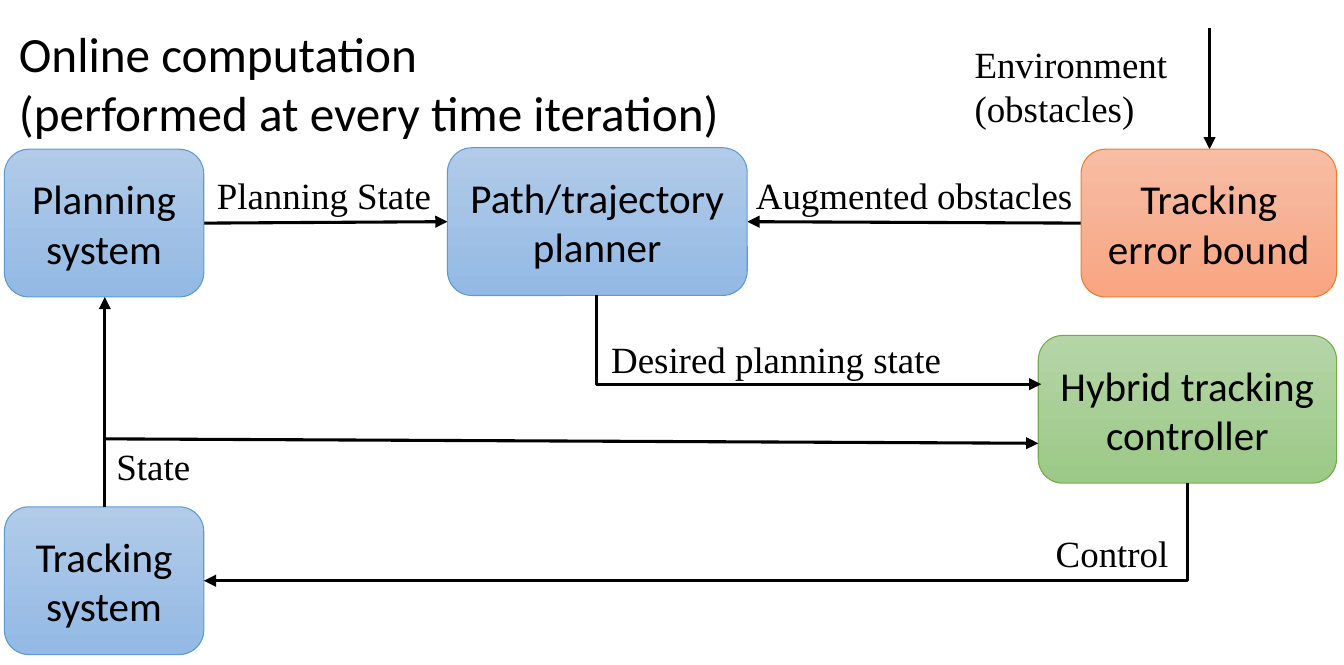
from lxml.etree import SubElement
from pptx import Presentation
from pptx.dml.color import RGBColor
from pptx.enum.shapes import MSO_CONNECTOR, MSO_SHAPE
from pptx.enum.text import MSO_ANCHOR, PP_ALIGN
from pptx.oxml.ns import qn
from pptx.util import Inches, Pt

# Gradient top, gradient bottom, outline
BLUE = ("B1CBE9", "93B9E4", "5B9BD5")
GREEN = ("B5D5A7", "9CC987", "70AD47")
ORANGE = ("F7BDA5", "F8A582", "ED7D31")
BLOCK_HEIGHT = 1
LABEL_FONT = "Times New Roman"


def color(hex_code):
    return RGBColor.from_string(hex_code)


def write(paragraph, lines, size, font):
    for index, line in enumerate(lines):
        if index:
            paragraph.add_line_break()
        run = paragraph.add_run()
        run.text = line
        run.font.size = Pt(size)
        run.font.name = font
        run.font.color.rgb = color("000000")


def add_block(slide, name, left, top, width, palette):
    block = slide.shapes.add_shape(
        MSO_SHAPE.ROUNDED_RECTANGLE,
        Inches(left), Inches(top), Inches(width), Inches(BLOCK_HEIGHT))
    block.shadow.inherit = False
    block.fill.gradient()
    block.fill.gradient_angle = 270
    for stop, shade in zip(block.fill.gradient_stops, palette):
        stop.color.rgb = color(shade)
    block.line.color.rgb = color(palette[2])
    block.line.width = Pt(0.5)
    frame = block.text_frame
    frame.word_wrap = True
    frame.vertical_anchor = MSO_ANCHOR.MIDDLE
    frame.paragraphs[0].alignment = PP_ALIGN.CENTER
    write(frame.paragraphs[0], [name], 20, "Calibri")


def add_text(slide, lines, left, top, width, height=0.4, size=18,
             font=LABEL_FONT, wrap=False):
    label = slide.shapes.add_textbox(
        Inches(left), Inches(top), Inches(width), Inches(height))
    label.text_frame.word_wrap = wrap
    write(label.text_frame.paragraphs[0], lines, size, font)


def add_flow(slide, start, end, arrow=True, kind=MSO_CONNECTOR.STRAIGHT):
    flow = slide.shapes.add_connector(
        kind, *(Inches(value) for value in (*start, *end)))
    flow.line.color.rgb = color("000000")
    flow.line.width = Pt(1.5)
    properties = flow.element.spPr
    if arrow:
        SubElement(properties.find(qn("a:ln")), qn("a:tailEnd"), type="triangle")
    SubElement(properties, qn("a:effectLst"))
    return flow


def add_bent_flow(slide, start, end):
    """Run down from start, then sideways to end."""
    run, drop = abs(end[0] - start[0]), end[1] - start[1]
    middle_x, middle_y = (start[0] + end[0]) / 2, (start[1] + end[1]) / 2
    # The unrotated frame is turned a quarter about its centre
    flow = add_flow(slide, (middle_x - drop / 2, middle_y - run / 2),
                    (middle_x + drop / 2, middle_y + run / 2),
                    kind=MSO_CONNECTOR.ELBOW)
    properties = flow.element.spPr
    properties.find(qn("a:prstGeom")).set("prst", "bentConnector2")
    frame = properties.find(qn("a:xfrm"))
    rightward = end[0] > start[0]
    frame.set("rot", str((270 if rightward else 90) * 60000))
    if rightward:
        frame.set("flipH", "1")


def heading(slide, left, top):
    add_text(slide, ["Online computation ", "(performed at every time iteration)"],
             left, top, 7.54, 0.91, 24, "Calibri", True)


def planning_row(slide, left, top, width):
    middle = top + BLOCK_HEIGHT / 2
    planner_left, planner_width = left + 3, 2.03
    system_width, bound_width = 1.35, 1.73
    bound_left = left + width - bound_width
    # Arrows into the planner and the error bound
    add_flow(slide, (left + system_width, middle + 0.01), (planner_left, middle))
    add_flow(slide, (bound_left, middle + 0.01),
             (planner_left + planner_width, middle))
    add_flow(slide, (left + 8.16, top - 0.81), (left + 8.16, top + 0.01))
    # Blocks
    add_block(slide, "Planning system", left, top + 0.01, system_width, BLUE)
    add_block(slide, "Path/trajectory planner", planner_left, top,
              planner_width, BLUE)
    add_block(slide, "Tracking error bound", bound_left, top + 0.01,
              bound_width, ORANGE)
    # Labels
    add_text(slide, ["Planning State"], left + 1.34, top + 0.12, 1.67)
    add_text(slide, ["Augmented obstacles"], left + 4.99, top + 0.12, 2.37)
    add_text(slide, ["Environment (obstacles)"], left + 6.47, top - 0.77,
             1.52, 0.71, wrap=True)


def tracking_loop(slide, left, top, width):
    system_width, controller_width = 1.35, 2.02
    system_top, controller_top = top + 1.43, top + 0.27
    controller_left = left + width - controller_width
    state_x, state_y = left + 0.68, top + 0.97
    # Blocks
    add_block(slide, "Tracking system", left, system_top, system_width, BLUE)
    add_block(slide, "Hybrid tracking controller", controller_left,
              controller_top, controller_width, GREEN)
    # State splits to the planning system and the controller
    branch = (state_x, state_y)
    add_flow(slide, (state_x, system_top), branch, arrow=False)
    add_flow(slide, branch, (state_x, top + 0.01))
    add_flow(slide, branch, (controller_left, state_y + 0.03))
    # Planner to controller, and controller back to the tracking system
    add_bent_flow(slide, (left + 4.01, top), (controller_left + 0.02, top + 0.6))
    add_bent_flow(
        slide,
        (controller_left + controller_width / 2, controller_top + BLOCK_HEIGHT),
        (left + system_width, system_top + BLOCK_HEIGHT / 2))
    # Labels
    add_text(slide, ["State"], left + 0.66, top + 0.95, 0.71)
    add_text(slide, ["Desired planning state"], left + 4.01, top + 0.23, 2.46)
    add_text(slide, ["Control"], left + 7.02, top + 1.54, 0.97)


presentation = Presentation()
presentation.slide_width = Inches(9.1)
presentation.slide_height = Inches(4.5)
slide = presentation.slides.add_slide(presentation.slide_layouts[6])
heading(slide, 0.03, 0.11)
planning_row(slide, 0.03, 1, 9.02)
tracking_loop(slide, 0.03, 2, 9.02)
presentation.save("out.pptx")
